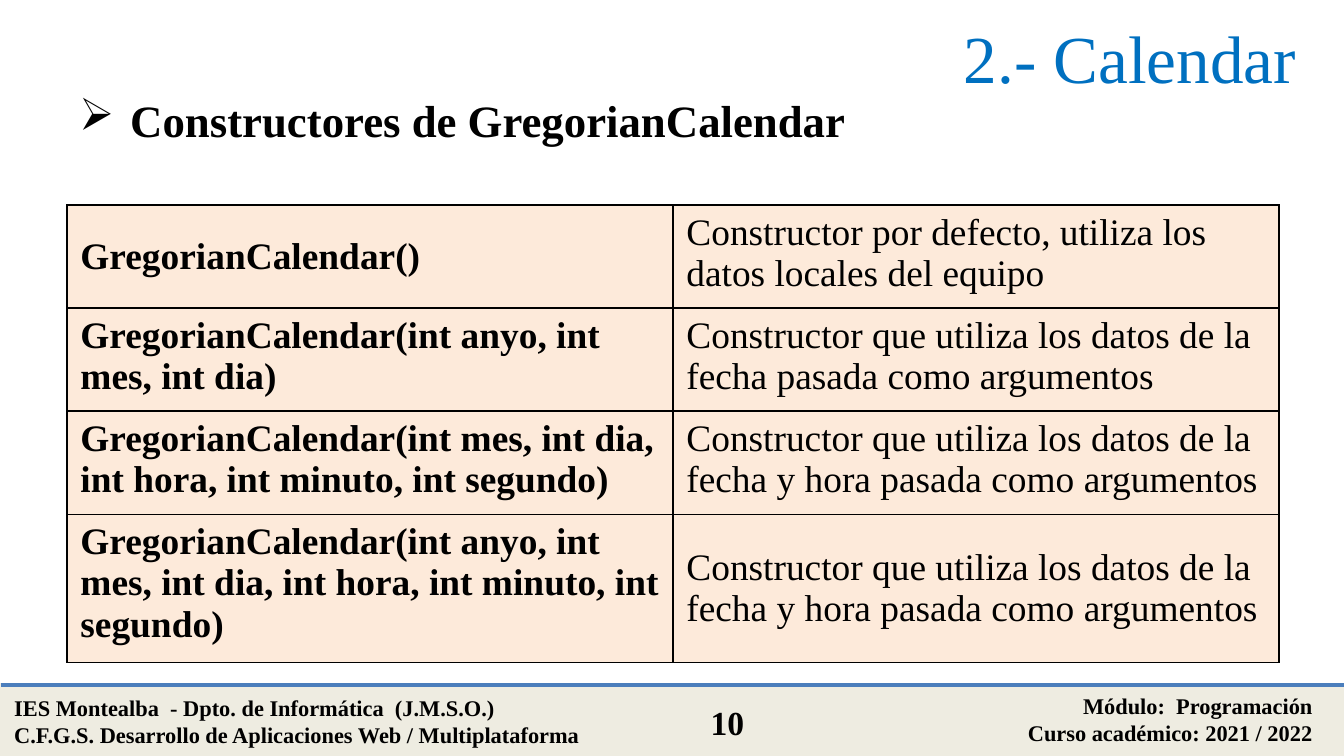
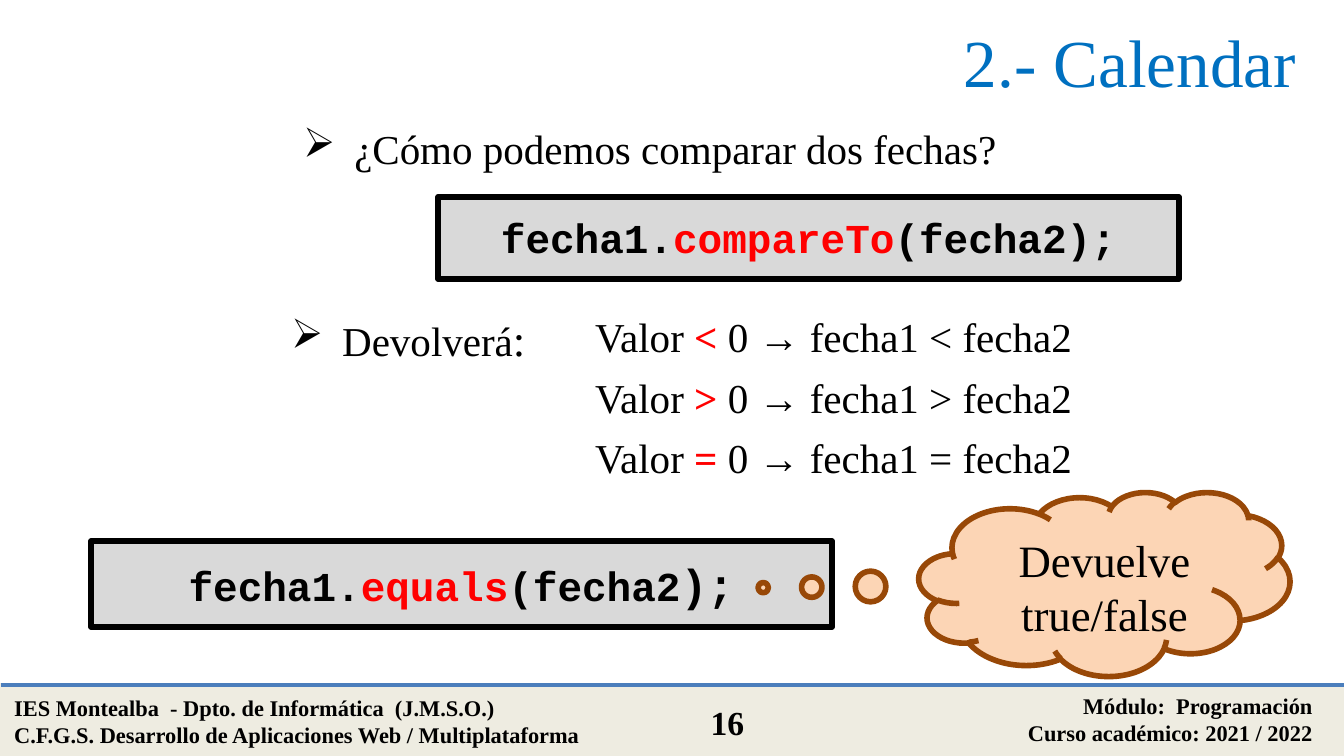
from lxml import etree
from pptx import Presentation
from pptx.dml.color import RGBColor
from pptx.enum.shapes import MSO_CONNECTOR, MSO_SHAPE
from pptx.enum.text import MSO_ANCHOR, MSO_AUTO_SIZE, PP_ALIGN
from pptx.oxml.ns import qn
from pptx.util import Emu, Pt

RECTANGLE, CLOUD = MSO_SHAPE.RECTANGLE, MSO_SHAPE.CLOUD_CALLOUT
STRAIGHT = MSO_CONNECTOR.STRAIGHT
TOP, MIDDLE = MSO_ANCHOR.TOP, MSO_ANCHOR.MIDDLE
GROW, FIXED = MSO_AUTO_SIZE.SHAPE_TO_FIT_TEXT, MSO_AUTO_SIZE.NONE
LEFT, CENTER, RIGHT, JUSTIFY = (
    PP_ALIGN.LEFT, PP_ALIGN.CENTER, PP_ALIGN.RIGHT, PP_ALIGN.JUSTIFY)

BLACK = RGBColor(0x00, 0x00, 0x00)
RED = RGBColor(0xFF, 0x00, 0x00)
TITLE_BLUE = RGBColor(0x00, 0x70, 0xC0)
RULE_BLUE = RGBColor(0x4B, 0x7E, 0xBC)
FOOTER_BEIGE = RGBColor(0xEE, 0xEC, 0xE1)
CELL_PEACH = RGBColor(0xFD, 0xEA, 0xDA)
CODE_GREY = RGBColor(0xD9, 0xD9, 0xD9)
CLOUD_FILL = RGBColor(0xFC, 0xD5, 0xB5)
CLOUD_LINE = RGBColor(0x98, 0x48, 0x07)

SERIF, MONO = "Times New Roman", "Courier New"
PIXEL = 914400 / 134.4
WIDTH, HEIGHT = 1344, 756

# Content
TITLE = "2.- Calendar "
SCHOOL_LINES = ["IES Montealba  - Dpto. de Informática  (J.M.S.O.)",
                "C.F.G.S. Desarrollo de Aplicaciones Web / Multiplataforma"]
COURSE_LINES = ["Módulo:  Programación", "Curso académico: 2021 / 2022"]

CONSTRUCTORS_HEADING = "Constructores de GregorianCalendar"
# Signature, description, row height, signature anchor, description anchor
CONSTRUCTORS = [
    ("GregorianCalendar()",
     "Constructor por defecto, utiliza los datos locales del equipo",
     103, MIDDLE, TOP),
    ("GregorianCalendar(int anyo, int mes, int dia)",
     "Constructor que utiliza los datos de la fecha pasada como argumentos",
     103, TOP, TOP),
    ("GregorianCalendar(int mes, int dia, int hora, int minuto, int segundo)",
     "Constructor que utiliza los datos de la fecha y hora pasada como argumentos",
     103, TOP, TOP),
    ("GregorianCalendar(int anyo, int mes, int dia, int hora, int minuto, int segundo)",
     "Constructor que utiliza los datos de la fecha y hora pasada como argumentos",
     148, TOP, MIDDLE),
]

QUESTION = "¿Cómo podemos comparar dos fechas?"
KEY = {"color": RED}
KEY_BOLD = {"color": RED, "bold": True}
LARGE = {"size": Pt(24)}
COMPARE_CODE = [("fecha1.", {}), ("compareTo", KEY), ("(fecha2);", {})]
EQUALS_CODE = [("fecha1.", {}), ("equals", KEY), ("(fecha2", {}), (");", LARGE)]
RETURNS = [("Devolverá", {}), (":", LARGE)]
RESULTS = [[("Valor ", {}), (sign, KEY_BOLD), (f" 0 → fecha1 {sign} fecha2", {})]
           for sign in "<>="]
CLOUD_TEXT = "Devuelve true/false"


def px(*values):
    return [Emu(round(value * PIXEL)) for value in values]


def write(frame, lines, size, font=SERIF, color=BLACK, bold=False,
          align=LEFT, before=0, first_before=0, bullet=False):
    """Each line is a string or a list of (text, format) spans."""
    for index, line in enumerate(lines):
        para = frame.add_paragraph() if index else frame.paragraphs[0]
        para.alignment = align
        para.space_before = Pt(before if index else first_before)
        if bullet:
            properties = para._p.get_or_add_pPr()
            indent = px(51)[0]
            properties.set("marL", str(indent))
            properties.set("indent", str(-indent))
            etree.SubElement(properties, qn("a:buChar")).set("char", "➢")
        for text, changes in [(line, {})] if isinstance(line, str) else line:
            span = para.add_run()
            span.text = text
            look = {"name": font, "size": Pt(size), "bold": bold,
                    "color": color, **changes}
            span.font.color.rgb = look.pop("color")
            for name, value in look.items():
                setattr(span.font, name, value)


def add_text(page, place, lines, size, anchor=TOP, fit=GROW, **look):
    box = page.shapes.add_textbox(*px(*place))
    frame = box.text_frame
    frame.word_wrap = True
    frame.auto_size = fit
    frame.vertical_anchor = anchor
    write(frame, lines, size, **look)


def add_filled(page, kind, place, fill, line, width):
    shape = page.shapes.add_shape(kind, *px(*place))
    shape.shadow.inherit = False
    shape.fill.solid()
    shape.fill.fore_color.rgb = fill
    shape.line.color.rgb = line
    shape.line.width = Pt(width)
    return shape


def add_code(page, place, line):
    box = add_filled(page, RECTANGLE, place, CODE_GREY, BLACK, 3)
    frame = box.text_frame
    frame.word_wrap = True
    frame.vertical_anchor = TOP
    frame.margin_top = frame.margin_bottom = px(16)[0]
    write(frame, [line], 22, font=MONO, bold=True, align=CENTER)


def add_page(deck, number, title_top):
    """Blank page with the shared footer and title."""
    page = deck.slides.add_slide(deck.slide_layouts[6])
    add_filled(page, RECTANGLE, (1, 685, WIDTH, 70), FOOTER_BEIGE, FOOTER_BEIGE, 2)
    rule = page.shapes.add_connector(STRAIGHT, *px(1, 685, WIDTH + 1, 685))
    rule.line.color.rgb = RULE_BLUE
    rule.line.width = Pt(2)
    etree.SubElement(rule._element.spPr, qn("a:effectLst"))
    add_text(page, (1, 688, 626, 67), SCHOOL_LINES, 12, bold=True)
    add_text(page, (789, 686, 537, 67), COURSE_LINES, 12, bold=True, align=RIGHT)
    add_text(page, (673, 695, 109, 54), [str(number)], 18, bold=True, align=CENTER)
    add_text(page, (172, title_top, 1154, 113), [TITLE], 36, anchor=MIDDLE,
             fit=FIXED, color=TITLE_BLUE, align=RIGHT)
    return page


def add_border(cell):
    properties = cell._tc.get_or_add_tcPr()
    for index, side in enumerate(("lnL", "lnR", "lnT", "lnB")):
        edge = etree.Element(qn(f"a:{side}"), w=str(Pt(1)))
        fill = etree.SubElement(edge, qn("a:solidFill"))
        etree.SubElement(fill, qn("a:srgbClr")).set("val", str(BLACK))
        properties.insert(index, edge)


def add_constructor_table(page, left, top, column_width):
    height = sum(row[2] for row in CONSTRUCTORS)
    table = page.shapes.add_table(
        len(CONSTRUCTORS), 2, *px(left, top, 2 * column_width, height)).table
    table.first_row = table.horz_banding = False
    for column in table.columns:
        column.width = px(column_width)[0]
    for index, (signature, description, row_height, *anchors) in enumerate(CONSTRUCTORS):
        table.rows[index].height = px(row_height)[0]
        for column, text in enumerate((signature, description)):
            cell = table.cell(index, column)
            cell.fill.solid()
            cell.fill.fore_color.rgb = CELL_PEACH
            cell.vertical_anchor = anchors[column]
            write(cell.text_frame, [text], 20, bold=column == 0)
            add_border(cell)


deck = Presentation()
deck.slide_width, deck.slide_height = px(WIDTH, HEIGHT)

# Constructors
page = add_page(deck, 10, 0)
add_text(page, (66, 86, 1048, 67), [CONSTRUCTORS_HEADING], 24, bold=True,
         first_before=12, bullet=True)
add_constructor_table(page, 67, 205, 606)

# Comparing dates
page = add_page(deck, 16, 4)
add_text(page, (290, 117, 1036, 63), [QUESTION], 22, align=JUSTIFY, bullet=True)
add_code(page, (438, 197, 741, 82), COMPARE_CODE)
add_text(page, (278, 305, 1263, 67), [RETURNS], 22, align=JUSTIFY, bullet=True)
add_text(page, (582, 305, 603, 185), RESULTS, 22, align=JUSTIFY, before=6)
add_code(page, (91, 541, 741, 86), EQUALS_CODE)

# Thought cloud
cloud = add_filled(page, CLOUD, (919, 492, 371, 184), CLOUD_FILL, CLOUD_LINE, 3)
cloud.adjustments[0], cloud.adjustments[1] = -0.92, 0.02
add_text(page, (972, 526, 265, 122), [CLOUD_TEXT], 24, align=CENTER)

deck.save("out.pptx")
